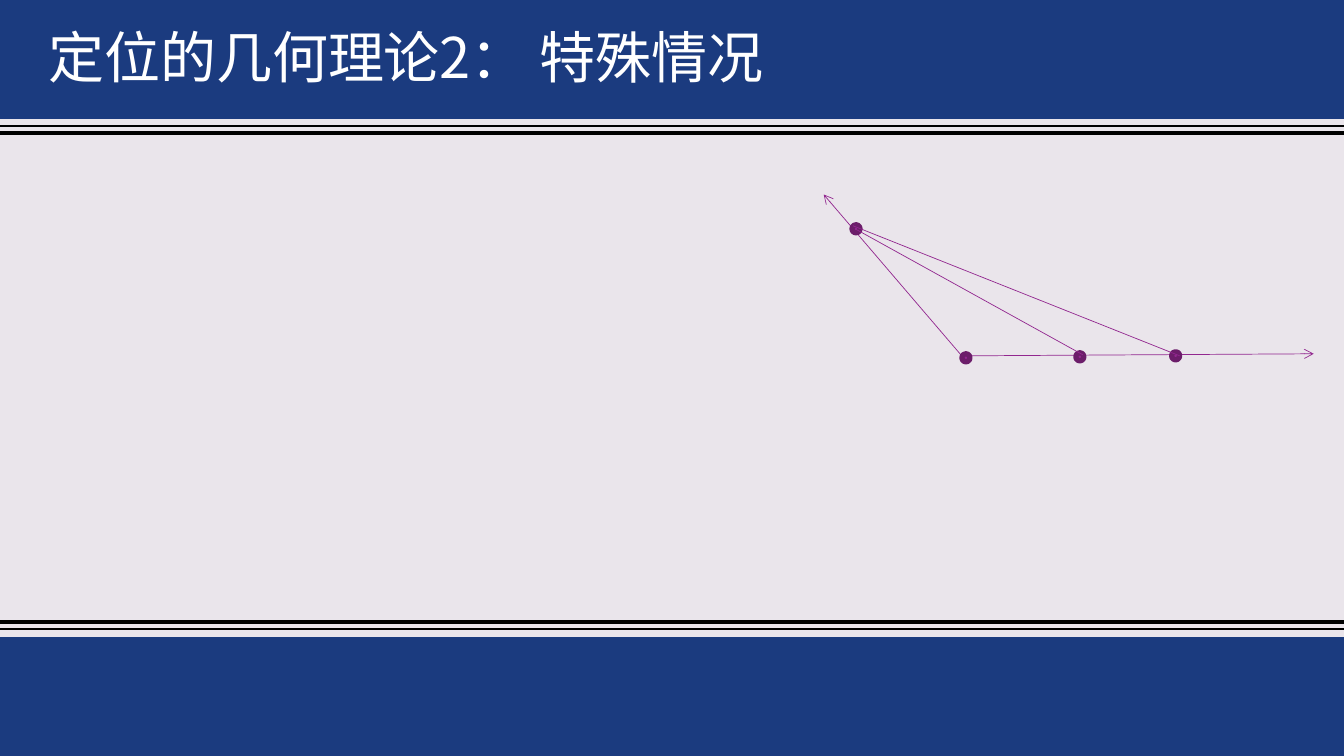
from dataclasses import dataclass

from lxml import etree
from pptx import Presentation
from pptx.dml.color import RGBColor
from pptx.enum.shapes import MSO_CONNECTOR, MSO_SHAPE
from pptx.enum.text import MSO_ANCHOR
from pptx.oxml.ns import qn
from pptx.util import Emu, Pt

STRAIGHT = MSO_CONNECTOR.STRAIGHT
RECTANGLE = MSO_SHAPE.RECTANGLE
OVAL = MSO_SHAPE.OVAL
MIDDLE = MSO_ANCHOR.MIDDLE

EMU_PER_PX = 9144  # 100 px to the inch
SLIDE_WIDTH, SLIDE_HEIGHT = 1333, 750
BAND_HEIGHT = 118
DOT_SIZE = 8


@dataclass(frozen=True)
class Theme:
    background: str = "EAE5EB"
    band: str = "1B3B7F"
    rule: str = "000000"
    title: str = "FFFFFF"
    ray: str = "92278F"
    dot_edge: str = "6C1D6A"
    font: str = "Noto Sans CJK SC"
    title_size: float = 40
    thick_rule: float = 3
    thin_rule: float = 1
    ray_width: float = 0.5
    dot_edge_width: float = 3.78


THEME = Theme()


def px(length):
    return Emu(length * EMU_PER_PX)


def rgb(value):
    return RGBColor.from_string(value)


def add_band(slide, top):
    band = slide.shapes.add_shape(
        RECTANGLE, 0, px(top), px(SLIDE_WIDTH), px(BAND_HEIGHT))
    band.shadow.inherit = False
    band.fill.solid()
    band.fill.fore_color.rgb = rgb(THEME.band)
    band.line.fill.background()


def add_line(slide, start, end, color, width, arrow=False):
    line = slide.shapes.add_connector(
        STRAIGHT, *(px(value) for value in (*start, *end)))
    line.line.color.rgb = rgb(color)
    line.line.width = Pt(width)
    if arrow:
        etree.SubElement(line.line._get_or_add_ln(), qn("a:tailEnd"), type="arrow")
    etree.SubElement(line._element.spPr, qn("a:effectLst"))


def add_rule(slide, y, width):
    add_line(slide, (0, y), (SLIDE_WIDTH, y), THEME.rule, width)


def add_dot(slide, left, top):
    dot = slide.shapes.add_shape(
        OVAL, px(left), px(top), px(DOT_SIZE), px(DOT_SIZE))
    dot.shadow.inherit = False
    dot.fill.solid()
    dot.fill.fore_color.rgb = rgb(THEME.ray)
    dot.line.color.rgb = rgb(THEME.dot_edge)
    dot.line.width = Pt(THEME.dot_edge_width)


def add_title(slide, text):
    title = slide.shapes.add_textbox(px(38), px(21), px(808), px(77))
    frame = title.text_frame
    frame.word_wrap = True
    frame.vertical_anchor = MIDDLE
    frame.text = text
    paragraph = frame.paragraphs[0]
    paragraph.line_spacing = 0.9
    run = paragraph.runs[0]
    run.font.size = Pt(THEME.title_size)
    run.font.color.rgb = rgb(THEME.title)
    run.font.name = THEME.font
    etree.SubElement(run.font._element, qn("a:ea"), typeface=THEME.font)


def main():
    presentation = Presentation()
    presentation.slide_width = px(SLIDE_WIDTH)
    presentation.slide_height = px(SLIDE_HEIGHT)
    slide = presentation.slides.add_slide(presentation.slide_layouts[6])
    slide.background.fill.solid()
    slide.background.fill.fore_color.rgb = rgb(THEME.background)

    # Double rules and bands at the top and bottom
    for thick_y, thin_y in ((617, 624), (132, 125)):
        add_rule(slide, thick_y, THEME.thick_rule)
        add_rule(slide, thin_y, THEME.thin_rule)
    for band_top in (SLIDE_HEIGHT - BAND_HEIGHT, 0):
        add_band(slide, band_top)

    add_title(slide, "定位的几何理论2： 特殊情况")

    # Two rays from the vertex
    for start, tip in (((959, 359), (817, 193)), ((961, 353), (1303, 351))):
        add_line(slide, start, tip, THEME.ray, THEME.ray_width, arrow=True)

    # Points on the rays
    for left, top in ((845, 223), (1162, 349), (954, 351), (1067, 350)):
        add_dot(slide, left, top)

    # Segments from the upper point to the points on the level ray
    for start, end in (((848, 227), (1074, 352)), ((846, 224), (1170, 353))):
        add_line(slide, start, end, THEME.ray, THEME.ray_width)

    presentation.save("out.pptx")


if __name__ == "__main__":
    main()
